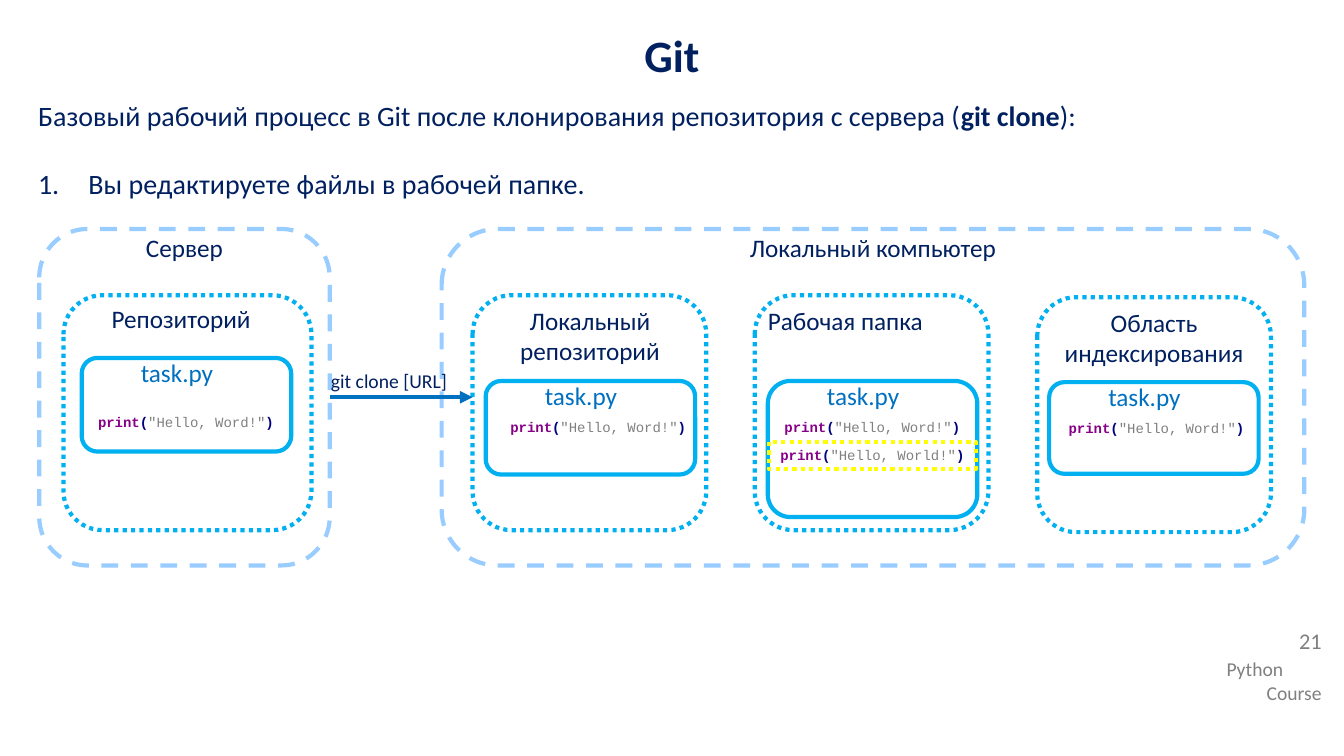
from lxml import etree
from pptx import Presentation
from pptx.dml.color import RGBColor
from pptx.enum import dml, shapes, text
from pptx.oxml import ns
from pptx.util import Cm, Pt

NAVY, BLUE, CYAN, PALE, GREY = "002060", "0070C0", "00B0F0", "99CCFF", "808080"
DASH, DOTS = dml.MSO_LINE.DASH, dml.MSO_LINE.ROUND_DOT
LEFT, CENTER, RIGHT, JUSTIFY = (
    text.PP_ALIGN.LEFT, text.PP_ALIGN.CENTER, text.PP_ALIGN.RIGHT, text.PP_ALIGN.JUSTIFY)

presentation = Presentation()
presentation.slide_width, presentation.slide_height = Cm(33.87), Cm(19.05)
slide = presentation.slides.add_slide(presentation.slide_layouts[6])


def add_text(place, lines, size, font="Calibri"):
    """Add a text box; each line is (paragraph format, [(words, colour, bold)])."""
    box = slide.shapes.add_textbox(*map(Cm, place))
    frame = box.text_frame
    frame.word_wrap = True
    for number, (layout, runs) in enumerate(lines):
        paragraph = frame.add_paragraph() if number else frame.paragraphs[0]
        for name, value in layout.items():
            setattr(paragraph, name, value)
        for words, color, bold in runs:
            run = paragraph.add_run()
            run.text = words
            run.font.name, run.font.size, run.font.bold = font, Pt(size), bold
            run.font.color.rgb = RGBColor.from_string(color)
    return box


def add_frame(place, color, dash=None, kind=shapes.MSO_SHAPE.ROUNDED_RECTANGLE):
    frame = slide.shapes.add_shape(kind, *map(Cm, place))
    frame.shadow.inherit = False
    frame.fill.background()
    frame.line.color.rgb = RGBColor.from_string(color)
    frame.line.width = Pt(3)
    if dash:
        frame.line.dash_style = dash


# Footer
add_text((30.66, 16.43, 2.9, 1.45),
         [({"alignment": LEFT}, [("Python", GREY, False)]),
          ({"alignment": RIGHT}, [("Course", GREY, False)])], 14)
add_text((30.66, 15.75, 2.9, 1.14),
         [({"alignment": RIGHT, "line_spacing": 0.9}, [("21", GREY, False)])], 16)

# Title and introduction
add_text((0, 0.58, 33.87, 1.93), [({"alignment": CENTER}, [("Git", NAVY, True)])], 32)
intro = add_text(
    (0.71, 2.51, 32.46, 2.69),
    [({"alignment": JUSTIFY, "line_spacing": 0.8, "space_after": Pt(6)},
      [("Базовый рабочий процесс в Git после клонирования репозитория с сервера (", NAVY, False),
       ("git clone", NAVY, True),
       ("):", NAVY, False)]),
     ({"alignment": JUSTIFY, "line_spacing": 0.7, "space_before": Pt(25.5)},
      [("Вы редактируете файлы в рабочей папке.", NAVY, False)])], 20)
step = intro.text_frame.paragraphs[1]._p.get_or_add_pPr()
step.set("marL", str(Cm(1.27)))
step.set("indent", str(-Cm(1.27)))
etree.SubElement(step, ns.qn("a:buAutoNum"), type="arabicPeriod")

# Machines
for machine, left, width in [("Сервер", 0.99, 7.32), ("Локальный компьютер", 11.13, 21.74)]:
    add_frame((left, 5.77, width, 8.48), PALE, DASH)
    add_text((left, 5.74, width, 1.02),
             [({"alignment": CENTER}, [(machine, NAVY, False)])], 18)

# Storage areas: name, alignment, label place, outline place, file place, code corner
areas = [
    ("Репозиторий", CENTER, (1.3, 7.52, 6.53, 1.02),
     (1.6, 7.44, 6.25, 5.92), (2.06, 9.02, 5.28, 2.36), (2.08, 10.29)),
    ("Локальный репозиторий", CENTER, (11.96, 7.57, 5.82, 1.8),
     (11.91, 7.44, 5.89, 5.92), (12.24, 9.6, 5.28, 2.36), (12.47, 10.41)),
    ("Рабочая папка", LEFT, (19.1, 7.57, 5.82, 1.02),
     (19.02, 7.44, 5.89, 5.92), (19.35, 9.6, 5.28, 3.43), (19.38, 10.41)),
    ("Область индексирования", CENTER, (26.14, 7.62, 5.89, 1.8),
     (26.14, 7.49, 5.89, 5.92), (26.44, 9.63, 5.28, 2.31), (26.54, 10.44)),
]
code_lines = []
for area, alignment, label, outline, file, code_corner in areas:
    add_frame(outline, CYAN, DOTS)
    add_text(label, [({"alignment": alignment}, [(area, NAVY, False)])], 18)
    add_frame(file, CYAN)
    add_text((file[0] + 1.24, file[1] - 0.15, 2.62, 1.02),
             [({"alignment": JUSTIFY}, [("task.py", BLUE, False)])], 18)
    code_lines.append((code_corner, '"Hello, Word!"'))

# Code, with the edited line marked
edited = (19.38, 11.13)
add_frame((*edited, 5.21, 0.69), "FFFF00", DOTS, shapes.MSO_SHAPE.RECTANGLE)
code_lines.append((edited, '"Hello, World!"'))
for corner, greeting in code_lines:
    add_text((*corner, 5.21, 0.69),
             [({"alignment": CENTER},
               [("print", "880088", True), ("(", "000080", True),
                (greeting, GREY, False), (")", "000080", True)])], 10, "Courier New")

# Clone arrow
clone = slide.shapes.add_connector(
    shapes.MSO_CONNECTOR.STRAIGHT, Cm(8.31), Cm(10.01), Cm(11.91), Cm(10.01))
clone.line.color.rgb = RGBColor.from_string(BLUE)
clone.line.width = Pt(3)
etree.SubElement(clone.line._get_or_add_ln(), ns.qn("a:tailEnd"), type="triangle")
etree.SubElement(clone._element.spPr, ns.qn("a:effectLst"))
add_text((7.72, 9.17, 4.17, 0.86),
         [({"alignment": CENTER}, [("git clone [URL]", NAVY, False)])], 14)

presentation.save("out.pptx")
